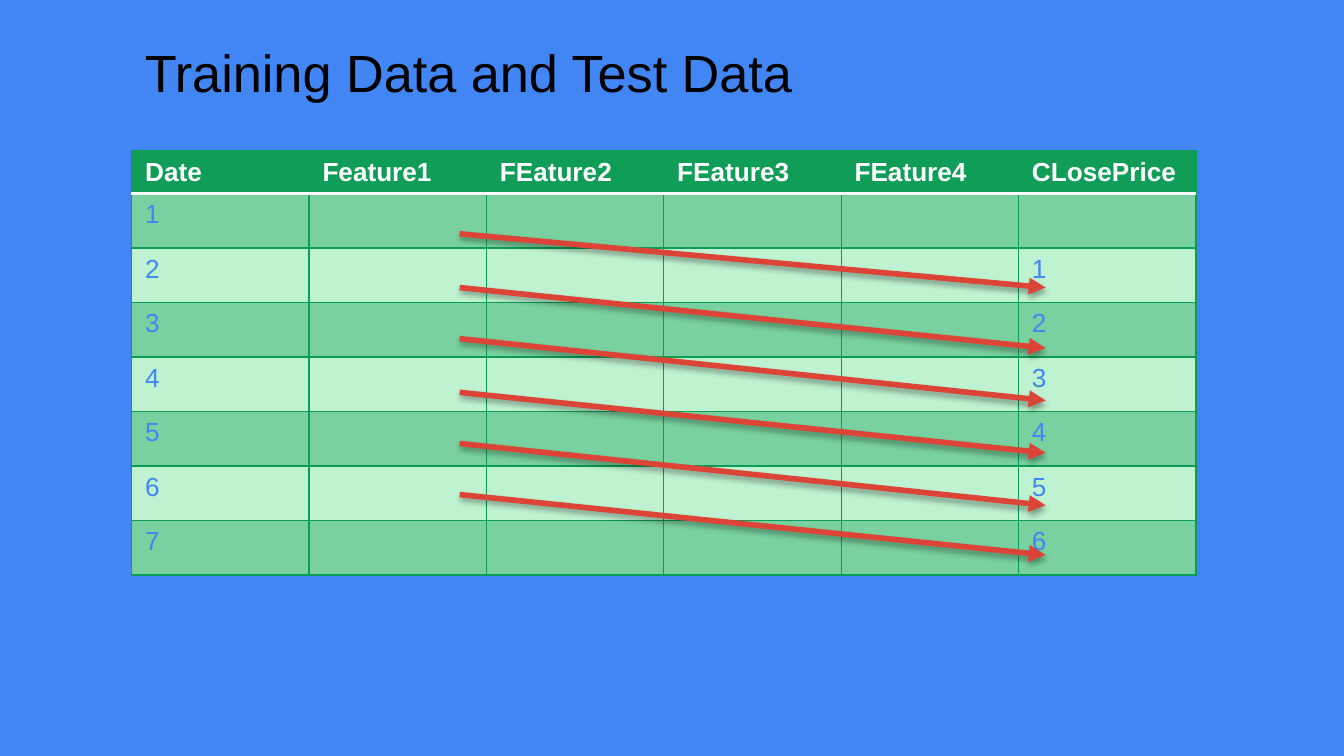
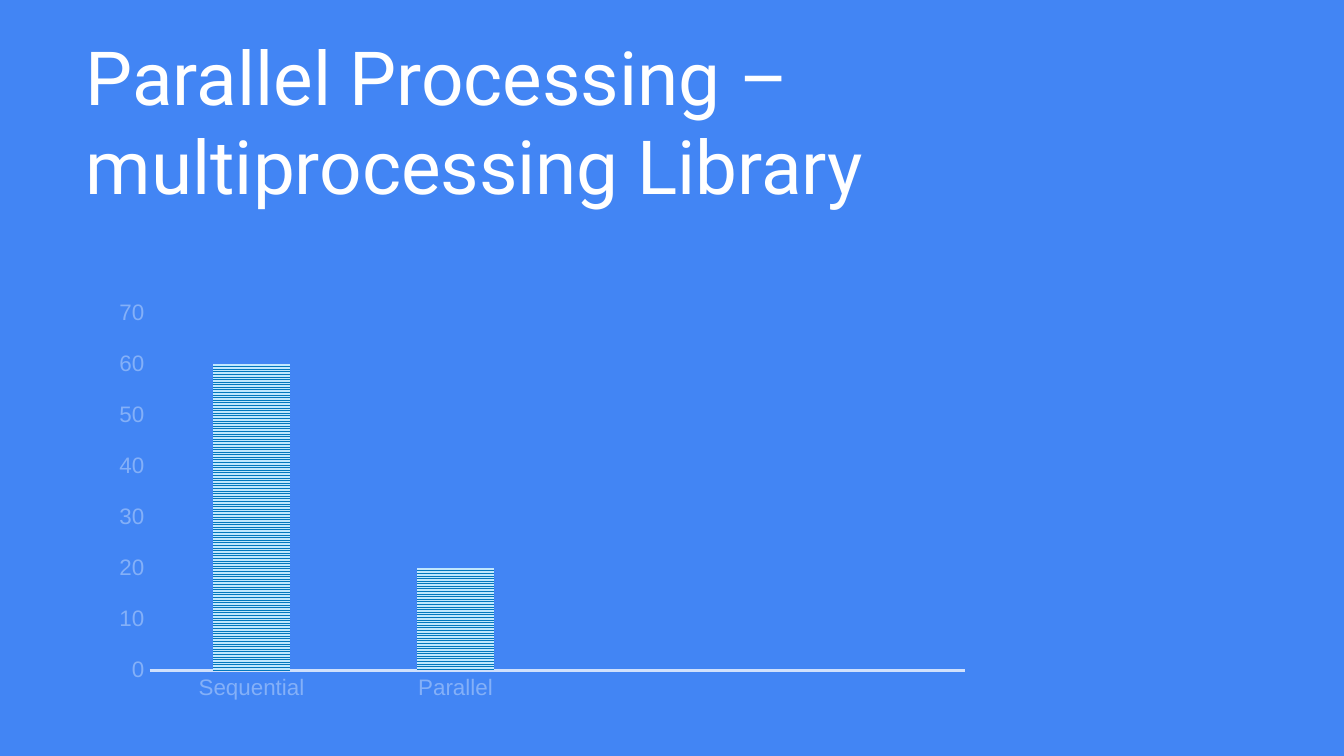
"""Two slides: a training data table and a processing time chart."""
from lxml import etree
from pptx import Presentation
from pptx.chart.data import CategoryChartData
from pptx.dml.color import RGBColor
from pptx.enum.chart import XL_CHART_TYPE as ChartType, XL_TICK_MARK as TickMark
from pptx.enum.dml import MSO_PATTERN as Pattern
from pptx.enum.shapes import MSO_CONNECTOR as Connector
from pptx.enum.text import MSO_ANCHOR as Anchor
from pptx.oxml import parse_xml
from pptx.oxml.ns import nsdecls, qn
from pptx.util import Inches, Pt

BLUE = RGBColor(0x42, 0x85, 0xF4)
WHITE = RGBColor(0xFF, 0xFF, 0xFF)
BLACK = RGBColor(0x00, 0x00, 0x00)
HEADER_GREEN = RGBColor(0x0F, 0x9D, 0x58)
BORDER_GREEN = RGBColor(0x0B, 0x9D, 0x56)
DARK_BAND = RGBColor(0x79, 0xD1, 0x9F)
LIGHT_BAND = RGBColor(0xBF, 0xF2, 0xD0)
RED = RGBColor(0xDB, 0x44, 0x37)
AXIS_TEXT = RGBColor(0x84, 0xB0, 0xF8)
AXIS_LINE = RGBColor(0xD0, 0xE0, 0xFC)
BAR_FRONT = RGBColor(0x02, 0x77, 0xBD)
BAR_BACK = RGBColor(0xC0, 0xE7, 0xFE)


def write(frame, text, size=14, color=BLUE, bold=False, font="Arial"):
    paragraph = frame.paragraphs[0]
    paragraph.font.size = Pt(size)
    if text:
        run = paragraph.add_run()
        run.text = text
        run.font.size = Pt(size)
        run.font.name = font
        run.font.bold = bold
        run.font.color.rgb = color


def add_border(cell, side, color, width):
    cell._tc.get_or_add_tcPr().append(parse_xml(
        f'<a:{side} {nsdecls("a")} w="{Pt(width)}"><a:solidFill>'
        f'<a:srgbClr val="{color}"/></a:solidFill></a:{side}>'))


presentation = Presentation()
presentation.slide_width = Inches(10)
presentation.slide_height = Inches(10 * 9 / 16)
slides = []
for _ in range(2):
    slide = presentation.slides.add_slide(presentation.slide_layouts[6])
    slide.background.fill.solid()
    slide.background.fill.fore_color.rgb = BLUE
    slides.append(slide)
data_slide, chart_slide = slides

headers = ["Date", "Feature1", "FEature2", "FEature3", "FEature4", "CLosePrice"]
rows = [headers]
for date in range(1, 8):
    rows.append([str(date), "", "", "", "", str(date - 1) if date > 1 else ""])
table = data_slide.shapes.add_table(
    len(rows), len(headers), Inches(0.98), Inches(1.12), Inches(7.92), Inches(3.16)).table
table.horz_banding = False
for column in table.columns:
    column.width = Inches(1.32)
for row_index, values in enumerate(rows):
    is_header = row_index == 0
    table.rows[row_index].height = Inches(0.32) if is_header else Inches(2.84 / 7)
    for column_index, value in enumerate(values):
        cell = table.cell(row_index, column_index)
        write(cell.text_frame, value, color=WHITE if is_header else BLUE, bold=is_header)
        for side in ("lnL", "lnR", "lnT", "lnB"):
            under_header = (row_index, side) in ((0, "lnB"), (1, "lnT"))
            add_border(cell, side, WHITE if under_header else BORDER_GREEN,
                       2 if under_header else 0.75)
        cell.fill.solid()
        band = DARK_BAND if row_index % 2 else LIGHT_BAND
        cell.fill.fore_color.rgb = HEADER_GREEN if is_header else band

arrow_heights = [(1.74, 2.14), (2.14, 2.59), (2.52, 2.98),
                 (2.92, 3.37), (3.3, 3.76), (3.68, 4.13)]
for start, end in arrow_heights:
    arrow = data_slide.shapes.add_connector(
        Connector.STRAIGHT, Inches(3.42), Inches(start), Inches(7.78), Inches(end))
    arrow.line.color.rgb = RED
    arrow.line.width = Pt(3)
    etree.SubElement(arrow.line._get_or_add_ln(), qn("a:tailEnd"), type="triangle")
    arrow._element.spPr.append(parse_xml(
        f'<a:effectLst {nsdecls("a")}><a:outerShdw blurRad="{Pt(3.1)}" dist="{Pt(1.8)}" '
        'dir="5400000" rotWithShape="0"><a:srgbClr val="000000"><a:alpha val="35000"/>'
        '</a:srgbClr></a:outerShdw></a:effectLst>'))

data_title = data_slide.shapes.add_textbox(
    Inches(0.98), Inches(0.25), Inches(7.22), Inches(0.57)).text_frame
data_title.word_wrap = True
write(data_title, "Training Data and Test Data", size=28, color=BLACK)

chart_title = chart_slide.shapes.add_textbox(
    Inches(0.54), Inches(0.53), Inches(8.24), Inches(0.73)).text_frame
chart_title.word_wrap = True
chart_title.vertical_anchor = Anchor.MIDDLE
chart_title.margin_top = chart_title.margin_bottom = Inches(0.1)
write(chart_title, "Parallel Processing – multiprocessing Library",
      size=40, color=WHITE, font="Roboto")

chart_data = CategoryChartData()
chart_data.categories = ["Sequential", "Parallel"]
chart_data.add_series("Series 1", (60, 20, None, None))
chart = chart_slide.shapes.add_chart(
    ChartType.COLUMN_CLUSTERED, Inches(0.78), Inches(1.53),
    Inches(6.67), Inches(3.8), chart_data).chart
chart.has_title = False
chart.has_legend = False
chart.font.size = Pt(10)
chart.font.name = "Arial"
chart.font.color.rgb = BLUE
plot = chart.plots[0]
plot.vary_by_categories = False
plot.gap_width = 164
plot.overlap = -22
bar_fill = plot.series[0].format.fill
bar_fill.patterned()
bar_fill.pattern = Pattern.NARROW_HORIZONTAL
bar_fill.fore_color.rgb = BAR_FRONT
bar_fill.back_color.rgb = BAR_BACK

for axis in (chart.category_axis, chart.value_axis):
    axis.has_major_gridlines = False
    axis.major_tick_mark = axis.minor_tick_mark = TickMark.NONE
    axis.tick_labels.font.size = Pt(12)
    axis.tick_labels.font.name = "Arial"
    axis.tick_labels.font.color.rgb = AXIS_TEXT
chart.category_axis.format.line.color.rgb = AXIS_LINE
chart.category_axis.format.line.width = Pt(1.5)
chart.value_axis.format.line.fill.background()
chart.value_axis.minimum_scale = 0
chart.value_axis.maximum_scale = 70
chart.value_axis.major_unit = 10

plot_area = chart._chartSpace.chart.plotArea
for old_layout in plot_area.findall(qn("c:layout")):
    plot_area.remove(old_layout)
layout = etree.Element(qn("c:layout"))
manual = etree.SubElement(layout, qn("c:manualLayout"))
for tag, value in (("layoutTarget", "inner"), ("xMode", "edge"), ("yMode", "edge"),
                   ("x", "0.05"), ("y", "0.21"), ("w", "0.91"), ("h", "0.7")):
    etree.SubElement(manual, qn(f"c:{tag}"), val=value)
plot_area.insert(0, layout)

presentation.save("out.pptx")
